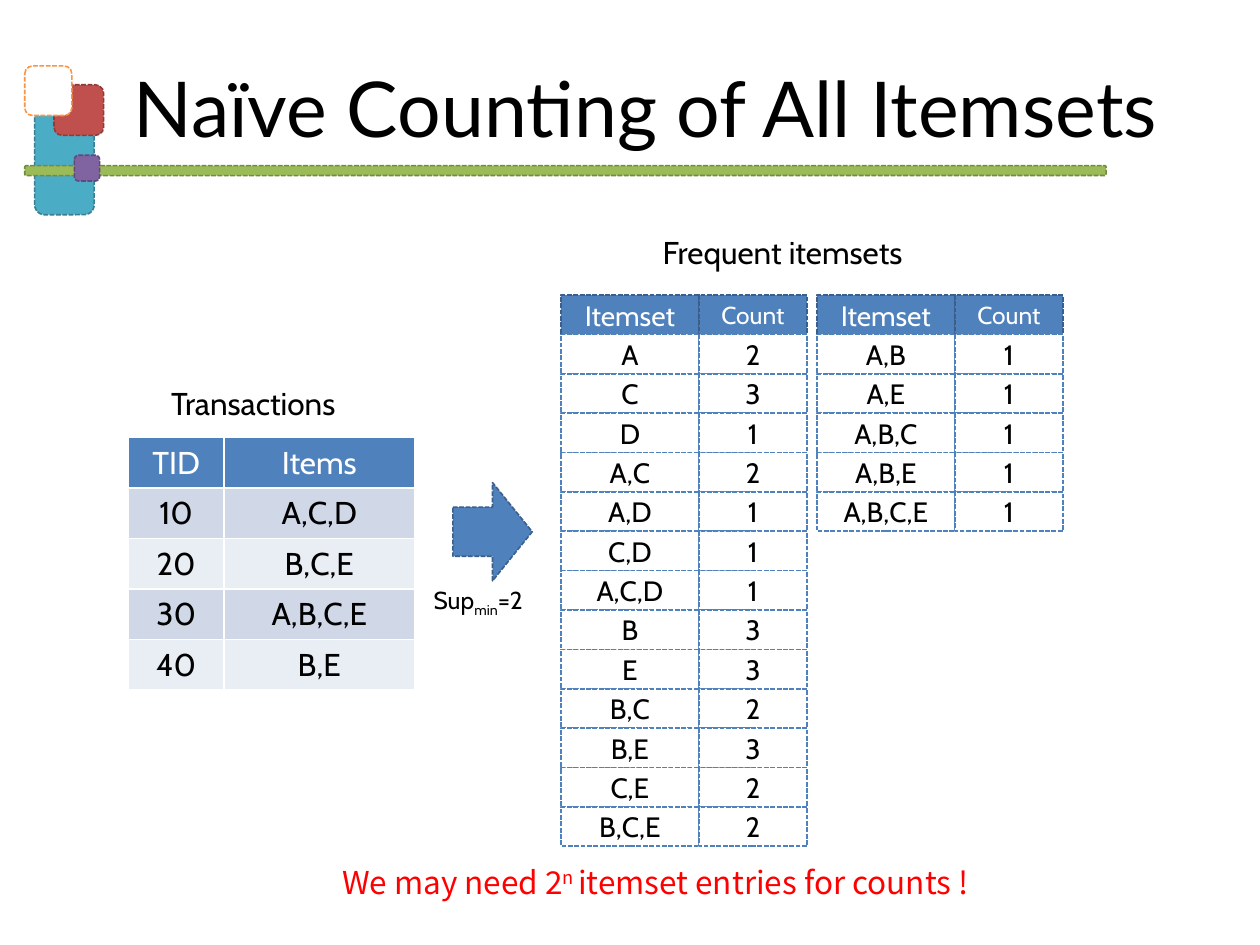
import dataclasses

import pptx
import pptx.dml.color
import pptx.enum.dml
import pptx.enum.shapes
import pptx.enum.text
import pptx.util

Cm = pptx.util.Cm
SHAPE = pptx.enum.shapes.MSO_SHAPE
ALIGN = pptx.enum.text.PP_ALIGN


@dataclasses.dataclass(frozen=True)
class Theme:
    """Colours, fonts and type sizes of the deck."""

    ink: str = "000000"
    paper: str = "FFFFFF"
    blue: str = "4F81BD"
    blue_edge: str = "3A5F8C"
    alert: str = "FF0000"
    bands: tuple = ("D0D8E8", "E9EDF4")
    teal: tuple = ("4BACC6", "377F92")
    green: tuple = ("9BBB59", "738A42")
    red: tuple = ("C0504D", "8E3B39")
    hollow: tuple = ("FFFFFF", "F79646")
    purple: tuple = ("8064A2", "5F4A78")
    title_font: str = "Lato"
    body_font: str = "Cabin"
    note_font: str = "Noto Sans CJK KR"
    title_size: int = 44
    body_size: int = 18
    cell_size: int = 16
    small_size: int = 14
    edge: float = 0.9


THEME = Theme()


def rgb(code):
    """Return the colour for a hex code."""
    return pptx.dml.color.RGBColor.from_string(code)


def write(frame, *parts, size=THEME.body_size, color=THEME.ink,
          font=THEME.body_font, align=ALIGN.LEFT):
    """Write strings, or (string, baseline percent) pairs, as one paragraph."""
    paragraph = frame.paragraphs[0]
    paragraph.alignment = align
    for part in parts:
        words, baseline = (part, 0) if isinstance(part, str) else part
        run = paragraph.add_run()
        run.text = words
        run.font.size = pptx.util.Pt(size)
        run.font.name = font
        run.font.color.rgb = rgb(color)
        if baseline:
            run._r.get_or_add_rPr().set("baseline", str(baseline * 1000))


def add_label(slide, box, *parts, wrap=False, **style):
    """Add a text box that grows with its text."""
    frame = slide.shapes.add_textbox(*map(Cm, box)).text_frame
    frame.word_wrap = wrap
    frame.auto_size = pptx.enum.text.MSO_AUTO_SIZE.SHAPE_TO_FIT_TEXT
    write(frame, *parts, **style)


def add_dashed(slide, kind, box, fill, edge):
    """Add a filled shape with a dashed outline."""
    shape = slide.shapes.add_shape(kind, *map(Cm, box))
    shape.shadow.inherit = False
    shape.fill.solid()
    shape.fill.fore_color.rgb = rgb(fill)
    shape.line.color.rgb = rgb(edge)
    shape.line.width = pptx.util.Pt(THEME.edge)
    shape.line.dash_style = pptx.enum.dml.MSO_LINE.SQUARE_DOT
    return shape


def add_ornament(slide, left, top):
    """Place the overlapping tiles and the rule beside the title."""
    tiles = (
        (0.2, 0.46, 1.2, 2.54, THEME.teal),
        (0, 2.01, 21.8, 0.2, THEME.green),
        (0.59, 0.38, 1, 1.02, THEME.red),
        (0, 0, 0.95, 1, THEME.hollow),
        (1, 1.8, 0.51, 0.52, THEME.purple),
    )
    for x, y, width, height, colors in tiles:
        add_dashed(slide, SHAPE.ROUNDED_RECTANGLE,
                   (left + x, top + y, width, height), *colors)


def add_title(slide, box, words):
    """Move and fill the title placeholder."""
    title = slide.shapes.title
    title.left, title.top, title.width, title.height = map(Cm, box)
    frame = title.text_frame
    frame.auto_size = pptx.enum.text.MSO_AUTO_SIZE.NONE
    frame.vertical_anchor = pptx.enum.text.MSO_ANCHOR.MIDDLE
    write(frame, words, size=THEME.title_size, font=THEME.title_font,
          align=ALIGN.CENTER)


def add_transactions(slide, box, rows):
    """Place the transaction table under its heading."""
    left, top, width, height = box
    add_label(slide, (left + 0.61, top - 1.2, 4.5, 1.02), "Transactions")
    table = slide.shapes.add_table(len(rows), 2, *map(Cm, box)).table
    for column, share in zip(table.columns, (1 / 3, 2 / 3)):
        column.width = Cm(width * share)
    for r, values in enumerate(rows):
        table.rows[r].height = Cm(height / len(rows))
        for c, value in enumerate(values):
            cell = table.cell(r, c)
            cell.fill.solid()
            cell.fill.fore_color.rgb = rgb(
                THEME.bands[(r - 1) % 2] if r else THEME.blue)
            write(cell.text_frame, value, align=ALIGN.CENTER,
                  color=THEME.ink if r else THEME.paper)


def add_arrow(slide, box):
    """Place the arrow with the support threshold below it."""
    left, top, width, height = box
    add_dashed(slide, SHAPE.RIGHT_ARROW, box, THEME.blue, THEME.blue_edge)
    add_label(slide, (left - 0.64, top + height - 0.05, 2.84, 0.86),
              "Sup", ("min", -25), "=2", size=THEME.small_size)


def add_counts(slide, box, counts):
    """Stack itemset and count cells below a header row."""
    left, top, width, height = box
    split = width * 0.56
    row_height = height / (len(counts) + 1)
    for r, values in enumerate([("Itemset", "Count"), *counts]):
        fill, edge, color = (
            (THEME.paper, THEME.blue, THEME.ink) if r
            else (THEME.blue, THEME.blue_edge, THEME.paper))
        spans = ((left, split), (left + split, width - split))
        for value, (x, cell_width) in zip(values, spans):
            cell = add_dashed(slide, SHAPE.RECTANGLE,
                              (x, top + r * row_height, cell_width, row_height),
                              fill, edge)
            frame = cell.text_frame
            frame.margin_top = frame.margin_bottom = 0
            frame.vertical_anchor = pptx.enum.text.MSO_ANCHOR.MIDDLE
            size = THEME.small_size if value == "Count" else THEME.cell_size
            write(frame, value, size=size, color=color, align=ALIGN.CENTER)


def build():
    """Build and save the slide."""
    deck = pptx.Presentation()
    deck.slide_width, deck.slide_height = Cm(25.4), Cm(19.05)
    slide = deck.slides.add_slide(deck.slide_layouts.get_by_name("Title Only"))
    add_ornament(slide, 0.5, 1.33)
    add_title(slide, (1.9, 0.76, 22.23, 2.77), "Naïve Counting of All Itemsets")
    add_label(slide, (13.11, 4.57, 6.35, 1.02), "Frequent itemsets")
    add_arrow(slide, (9.13, 9.73, 1.6, 1.98))
    add_counts(slide, (11.31, 5.95, 4.96, 11.11), [
        ("A", "2"), ("C", "3"), ("D", "1"), ("A,C", "2"), ("A,D", "1"),
        ("C,D", "1"), ("A,C,D", "1"), ("B", "3"), ("E", "3"), ("B,C", "2"),
        ("B,E", "3"), ("C,E", "2"), ("B,C,E", "2")])
    add_counts(slide, (16.47, 5.95, 4.96, 4.76), [
        (itemset, "1") for itemset in ("A,B", "A,E", "A,B,C", "A,B,E", "A,B,C,E")])
    add_transactions(slide, (2.59, 8.82, 5.77, 5.08), [
        ("TID", "Items"), ("10", "A,C,D"), ("20", "B,C,E"),
        ("30", "A,B,C,E"), ("40", "B,E")])
    add_label(slide, (2.77, 17.27, 21.03, 1.27),
              "We may need 2", ("n ", 30), "itemset entries for counts ! ",
              wrap=True, color=THEME.alert, font=THEME.note_font,
              align=ALIGN.CENTER)
    deck.save("out.pptx")


build()
